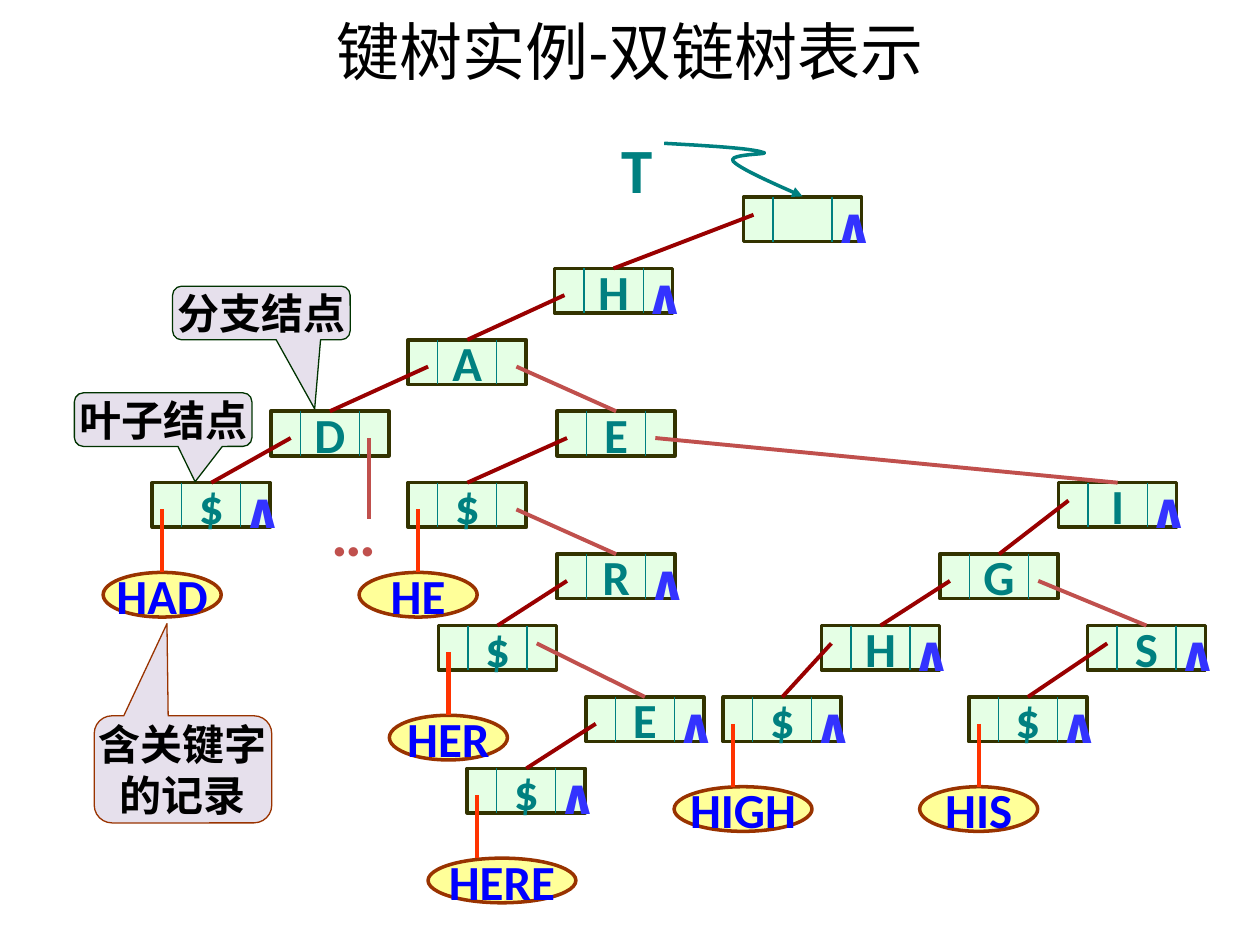
from dataclasses import dataclass

from lxml.etree import SubElement
from pptx import Presentation
from pptx.dml.color import RGBColor
from pptx.enum.shapes import MSO_CONNECTOR, MSO_SHAPE
from pptx.enum.text import MSO_ANCHOR, MSO_AUTO_SIZE, PP_ALIGN
from pptx.oxml.ns import qn
from pptx.util import Cm, Pt

BLACK = RGBColor(0x00, 0x00, 0x00)
TEAL = RGBColor(0x00, 0x80, 0x80)
MINT = RGBColor(0xCC, 0xFF, 0xCC)
OLIVE = RGBColor(0x33, 0x33, 0x00)
FOREST = RGBColor(0x00, 0x33, 0x00)
LILAC = RGBColor(0xE6, 0xE0, 0xEC)
YELLOW = RGBColor(0xFF, 0xFF, 0x99)
BROWN = RGBColor(0x99, 0x33, 0x00)
BLUE = RGBColor(0x00, 0x00, 0xFF)
INDIGO = RGBColor(0x33, 0x33, 0xFF)
DARK_RED = RGBColor(0x99, 0x00, 0x00)
ROSE = RGBColor(0xC0, 0x50, 0x4D)
ORANGE = RGBColor(0xFF, 0x33, 0x00)

FONT = "Calibri"
NODE_WIDTH, NODE_HEIGHT, ROW_PITCH = 2.38, 0.9, 1.44
HIGH_PORT, LOW_PORT = 0.36, 0.54


@dataclass
class Node:
    """A tree node with its place, links and link starting points in cm."""
    label: str
    x: float
    row: int
    null: bool = False
    child: str = ""
    child_port: tuple = (0.2, LOW_PORT)
    sibling: str = ""
    sibling_port: tuple = (1.98, LOW_PORT)


@dataclass
class Record:
    """A keyword record hanging below a leaf node."""
    leaf: str
    shift: float = -0.99
    width: float = NODE_WIDTH


NODES = {
    "root": Node("", 11.92, 0, True, "H", (0.2, HIGH_PORT)),
    "H": Node("H", 8.11, 1, True, "HA"),
    "HA": Node("A", 5.16, 2, False, "HAD", (0.4, LOW_PORT), "HE", (2.18, LOW_PORT)),
    "HAD": Node("D", 2.39, 3, False, "HAD$", (0.4, LOW_PORT)),
    "HAD$": Node("$", 0, 4, True),
    "HE": Node("E", 8.16, 3, False, "HE$", sibling="HI"),
    "HE$": Node("$", 5.16, 4, sibling="HER", sibling_port=(2.18, LOW_PORT)),
    "HER": Node("R", 8.16, 5, True, "HER$"),
    "HER$": Node("$", 5.77, 6, sibling="HERE", sibling_port=(1.98, HIGH_PORT)),
    "HERE": Node("E", 8.74, 7, True, "HERE$"),
    "HERE$": Node("$", 6.35, 8, True),
    "HI": Node("I", 18.27, 4, True, "HIG", (0.2, HIGH_PORT)),
    "HIG": Node("G", 15.88, 5, False, "HIGH", sibling="HIS"),
    "HIGH": Node("H", 13.49, 6, True, "HIGH$", (0.2, HIGH_PORT)),
    "HIGH$": Node("$", 11.51, 7, True),
    "HIS": Node("S", 18.85, 6, True, "HIS$", (0.4, HIGH_PORT)),
    "HIS$": Node("$", 16.46, 7, True),
}

RECORDS = {
    "HAD": Record("HAD$"),
    "HE": Record("HE$"),
    "HER": Record("HER$"),
    "HERE": Record("HERE$", -0.79, 2.98),
    "HIGH": Record("HIGH$", width=2.78),
    "HIS": Record("HIS$"),
}


def write(frame, lines, size, color, bold=True, align=PP_ALIGN.CENTER):
    """Write one run per line into a text frame."""
    for index, line in enumerate(lines):
        paragraph = frame.add_paragraph() if index else frame.paragraphs[0]
        paragraph.alignment = align
        run = paragraph.add_run()
        run.text = line
        run.font.name, run.font.size, run.font.bold = FONT, Pt(size), bold
        run.font.color.rgb = color


def add_label(slide, x, y, width, height, text, size, color):
    """Add a left-aligned bold label that fits its text."""
    label = slide.shapes.add_textbox(Cm(x), Cm(y), Cm(width), Cm(height))
    label.text_frame.word_wrap = False
    label.text_frame.auto_size = MSO_AUTO_SIZE.SHAPE_TO_FIT_TEXT
    write(label.text_frame, [text], size, color, align=PP_ALIGN.LEFT)


def add_figure(slide, kind, box, fill, outline, weight, lines, size, color):
    """Add an outlined preset shape with centred text."""
    figure = slide.shapes.add_shape(kind, *map(Cm, box))
    figure.shadow.inherit = False
    figure.fill.solid()
    figure.fill.fore_color.rgb = fill
    figure.line.color.rgb = outline
    figure.line.width = Pt(weight)
    figure.text_frame.word_wrap = False
    figure.text_frame.vertical_anchor = MSO_ANCHOR.MIDDLE
    if any(lines):
        write(figure.text_frame, lines, size, color)
    return figure


def add_line(slide, start, end, color, weight, target=None):
    """Draw a straight line, joined to the top of the target if there is one."""
    points = map(Cm, (*start, *end))
    line = slide.shapes.add_connector(MSO_CONNECTOR.STRAIGHT, *points)
    line.line.color.rgb = color
    line.line.width = Pt(weight)
    SubElement(line._element.spPr, qn("a:effectLst"))
    if target is not None:
        line.end_connect(target, 0)


def add_node(slide, x, y, label, null):
    """Draw a three-cell node and its null pointer mark."""
    box = (x, y, NODE_WIDTH, NODE_HEIGHT)
    cell = add_figure(slide, MSO_SHAPE.RECTANGLE, box, MINT, OLIVE, 2, [label], 28, TEAL)
    mint = cell._element.spPr.find(qn("a:solidFill")).find(qn("a:srgbClr"))
    SubElement(mint, qn("a:alpha"), val="50000")
    for quarter in (1, 3):
        divider = x + NODE_WIDTH * quarter / 4
        add_line(slide, (divider, y), (divider, y + NODE_HEIGHT), TEAL, 0.75)
    if null:
        add_label(slide, x + 1.57, y - 0.18, 1.12, 1.45, "∧", 28, INDIGO)
    return cell


def draw_tree(slide, left, top):
    """Draw the nodes, links and keyword records of the tree."""
    places = {key: (left + node.x, top + node.row * ROW_PITCH) for key, node in NODES.items()}
    cells = {key: add_node(slide, *places[key], node.label, node.null)
             for key, node in NODES.items()}
    for key, node in NODES.items():
        x, y = places[key]
        links = ((node.child, node.child_port, DARK_RED),
                 (node.sibling, node.sibling_port, ROSE))
        for target, (dx, dy), color in links:
            if target:
                add_line(slide, (x + dx, y + dy), places[target], color, 2.25, cells[target])
    for keyword, record in RECORDS.items():
        x, y = places[record.leaf]
        box = (x + record.shift, y + 1.81, record.width, NODE_HEIGHT)
        add_figure(slide, MSO_SHAPE.OVAL, box, YELLOW, BROWN, 2, [keyword], 28, BLUE)
        add_line(slide, (x + 0.2, y + LOW_PORT), (x + 0.2, y + 1.81), ORANGE, 2.5)
    x, y = places["HAD"]
    add_line(slide, (x + 1.98, y + LOW_PORT), (x + 1.98, y + 2.17), ROSE, 2.25)
    add_label(slide, x + 0.97, y + 1.54, 1.42, 1.8, "…", 36, ROSE)


def curve_points(start, curves, steps=12):
    """Return points along a chain of cubic curves."""
    points = [start]
    for first, second, end in curves:
        origin = points[-1]
        for step in range(1, steps + 1):
            t = step / steps
            weights = ((1 - t) ** 3, 3 * t * (1 - t) ** 2, 3 * t * t * (1 - t), t ** 3)
            corners = (origin, first, second, end)
            points.append(tuple(sum(w * c[axis] for w, c in zip(weights, corners))
                                for axis in (0, 1)))
    return points


def draw_root_pointer(slide, left, top):
    """Draw the name T and its curved arrow to the root."""
    add_label(slide, left, top, 1.32, 1.8, "T", 36, TEAL)
    curves = (((2.01, 0.43), (2.87, 0.48), (3.1, 0.56)),
              ((3.35, 0.61), (2.39, 0.58), (2.51, 0.74)),
              ((2.64, 0.89), (3.28, 1.17), (3.91, 1.45)))
    points = [(Cm(left + x), Cm(top + y)) for x, y in curve_points((1.12, 0.38), curves)]
    builder = slide.shapes.build_freeform(*points[0])
    builder.add_line_segments(points[1:], close=False)
    pointer = builder.convert_to_shape()
    pointer.shadow.inherit = False
    pointer.fill.background()
    pointer.line.color.rgb = TEAL
    pointer.line.width = Pt(2)
    SubElement(pointer._element.spPr.find(qn("a:ln")), qn("a:tailEnd"), type="triangle")


def draw_callout(slide, box, outline, tip, lines):
    """Draw a rounded callout whose tip is given relative to its size."""
    callout = add_figure(slide, MSO_SHAPE.ROUNDED_RECTANGULAR_CALLOUT, box,
                         LILAC, outline, 0.75, lines, 24, BLACK)
    callout.adjustments[0], callout.adjustments[1] = tip


def draw_title(slide, left, top, width, height):
    """Write the slide title centred in its box."""
    title = slide.shapes.add_textbox(Cm(left), Cm(top), Cm(width), Cm(height))
    title.text_frame.word_wrap = True
    title.text_frame.vertical_anchor = MSO_ANCHOR.MIDDLE
    write(title.text_frame, ["键树实例-双链树表示"], 36, BLACK, bold=False)


def main():
    """Build the slide and save it."""
    deck = Presentation()
    deck.slide_width, deck.slide_height = Cm(25.4), Cm(19.05)
    slide = deck.slides.add_slide(deck.slide_layouts[6])
    draw_title(slide, 1.27, -0.08, 22.86, 2.21)
    draw_tree(slide, 3.07, 3.97)
    draw_root_pointer(slide, 12.27, 2.51)
    draw_callout(slide, (1.5, 7.92, 3.58, 1.08), FOREST, (0.18, 1.16), ["叶子结点"])
    draw_callout(slide, (3.48, 5.77, 3.58, 1.08), FOREST, (0.3, 1.79), ["分支结点"])
    draw_callout(slide, (1.9, 14.43, 3.58, 2.16), BROWN, (-0.09, -1.36), ["含关键字", "的记录"])
    deck.save("out.pptx")


if __name__ == "__main__":
    main()
